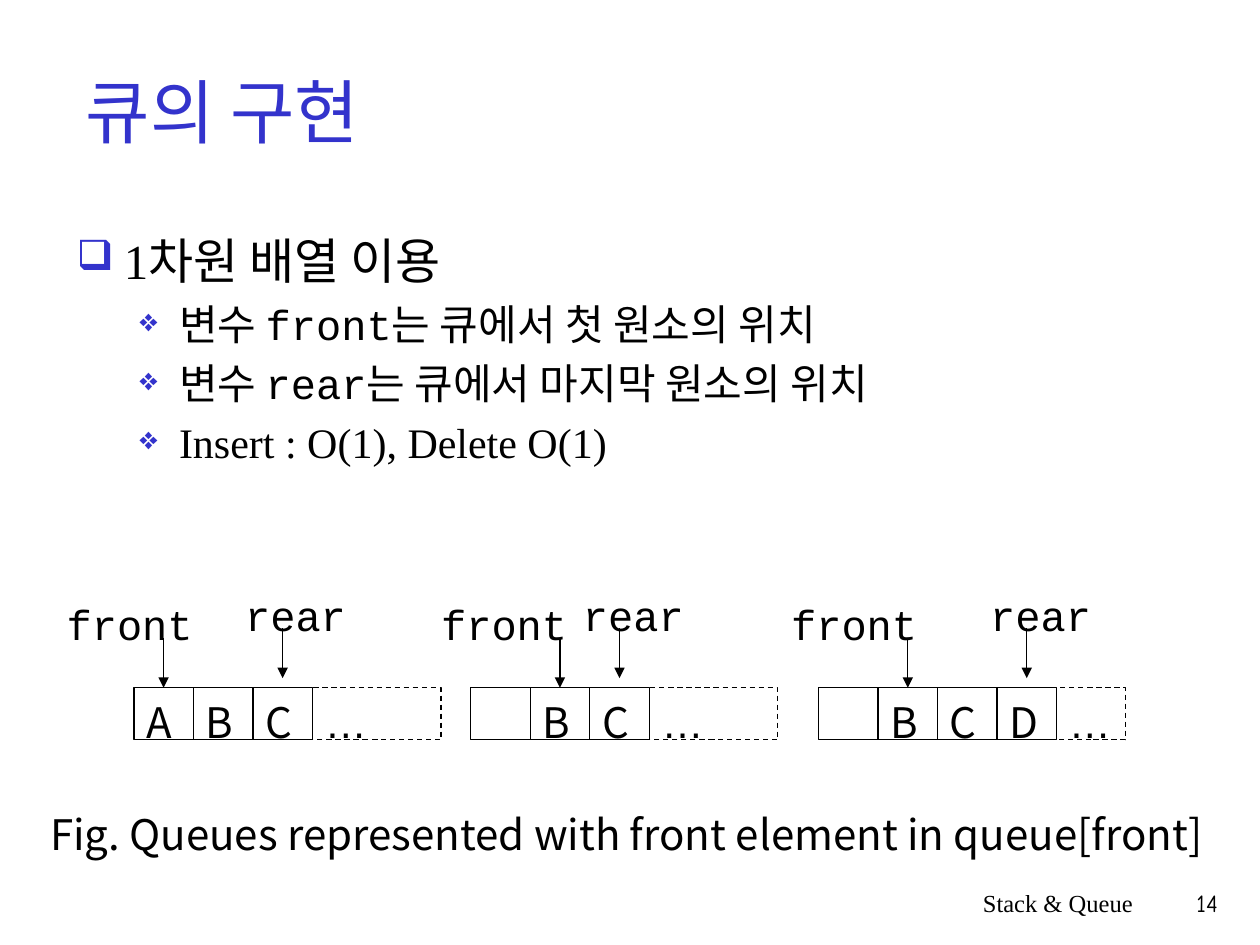
"""Build the slide on implementing a queue with a one-dimensional array."""
from pptx import Presentation
from pptx.dml.color import RGBColor
from pptx.enum.dml import MSO_LINE
from pptx.enum.shapes import MSO_CONNECTOR as CONNECTOR, MSO_SHAPE as SHAPE
from pptx.enum.text import MSO_ANCHOR as ANCHOR, PP_ALIGN as ALIGN
from pptx.oxml.ns import qn
from pptx.util import Pt
from lxml.etree import SubElement

SERIF, MONO, SANS = "Times New Roman", "Courier New", "Noto Sans CJK KR"
BLACK, BLUE = "000000", "3333CC"


def style_run(run, font, size, color=BLACK):
    run.font.name = font
    run.font.size = Pt(size)
    run.font.color.rgb = RGBColor.from_string(color)
    SubElement(run._r.get_or_add_rPr(), qn("a:ea"), typeface=SANS)


def add_text(left, top, width, height, text, font, size, color=BLACK, inset=3.6):
    shape = slide.shapes.add_textbox(Pt(left), Pt(top), Pt(width), Pt(height))
    frame = shape.text_frame
    frame.word_wrap = True
    frame.margin_top = Pt(inset)
    frame.text = text
    paragraph = frame.paragraphs[0]
    if size == 24:
        paragraph.line_spacing = Pt(29)
    for run in paragraph.runs:
        style_run(run, font, size, color)
    return shape


presentation = Presentation()
presentation.slide_width, presentation.slide_height = Pt(720), Pt(540)
slide = presentation.slides.add_slide(presentation.slide_layouts[6])

title = add_text(42, 18, 612, 90, "큐의 구현", SERIF, 40, BLUE)
title.text_frame.vertical_anchor = ANCHOR.MIDDLE

bullets = [
    (0, [("1차원 배열 이용", SERIF)]),
    (1, [("변수 ", MONO), ("front", MONO), ("는 큐에서 첫 원소의 위치", SERIF)]),
    (1, [("변수 ", MONO), ("rear", MONO), ("는 큐에서 마지막 원소의 위치", SERIF)]),
    (1, [("Insert : O(1), Delete O(1)", SERIF)]),
]
levels = [(28, 34, 27, 27, "❑", 85), (24, 29, 58.5, 22.5, "❖", 75)]
body = slide.shapes.add_textbox(Pt(36.75), Pt(128), Pt(648), Pt(356)).text_frame
body.word_wrap = True
for index, (level, parts) in enumerate(bullets):
    size, spacing, margin, hang, mark, scale = levels[level]
    paragraph = body.add_paragraph() if index else body.paragraphs[0]
    paragraph.level = level
    paragraph.line_spacing = Pt(spacing)
    paragraph.space_before = Pt(size * 0.2 if index else 0)
    properties = paragraph._p.get_or_add_pPr()
    properties.set("marL", str(Pt(margin)))
    properties.set("indent", str(-Pt(hang)))
    bullet_color = SubElement(properties, qn("a:buClr"))
    SubElement(bullet_color, qn("a:srgbClr"), val=BLUE)
    SubElement(properties, qn("a:buSzPct"), val=str(scale * 1000))
    SubElement(properties, qn("a:buChar"), char=mark)
    for text, font in parts:
        run = paragraph.add_run()
        run.text = text
        style_run(run, font, size)

CELL, CELL_TOP, CELL_HEIGHT = 34, 393, 29.75
queues = [
    (76.5, ["A", "B", "C"], 73.5, (0, 31, 108), (2, 133, 91.5)),
    (269, ["", "B", "C"], 73.5, (1, 245, 92), (2, 326, 82)),
    (467.75, ["", "B", "C", "D"], 39.5, (1, 445, 91), (3, 558.75, 78)),
]
for left, letters, rest_width, front, rear in queues:
    for index, letter in enumerate(letters + ["…"]):
        is_rest = letter == "…"
        cell = slide.shapes.add_shape(
            SHAPE.RECTANGLE, Pt(left + index * CELL), Pt(CELL_TOP),
            Pt(rest_width if is_rest else CELL), Pt(CELL_HEIGHT))
        cell.shadow.inherit = False
        cell.fill.background()
        cell.line.color.rgb = RGBColor.from_string(BLACK)
        cell.line.width = Pt(0.75)
        if is_rest:
            cell.line.dash_style = MSO_LINE.DASH
        if letter:
            frame = cell.text_frame
            frame.vertical_anchor = ANCHOR.TOP
            frame.margin_top = Pt(5)
            frame.text = letter
            paragraph = frame.paragraphs[0]
            paragraph.alignment = ALIGN.LEFT
            paragraph.line_spacing = Pt(29)
            style_run(paragraph.runs[0], "Arial" if is_rest else SANS, 24)

    pointers = [("front", front, 336, 364.5, 393), ("rear", rear, 330.5, 359, 387.5)]
    for name, (index, label_left, width), label_top, start, end in pointers:
        x = left + (index + 0.5) * CELL
        arrow = slide.shapes.add_connector(
            CONNECTOR.STRAIGHT, Pt(x), Pt(start), Pt(x), Pt(end))
        arrow.line.color.rgb = RGBColor.from_string(BLACK)
        arrow.line.width = Pt(0.75)
        SubElement(arrow.line._get_or_add_ln(), qn("a:tailEnd"), type="triangle")
        SubElement(arrow._element.spPr, qn("a:effectLst"))
        add_text(label_left, label_top, width, 36, name, MONO, 24, inset=6)

add_text(21.5, 456, 691, 36, "Fig. Queues represented with front element in queue[front]",
         SANS, 24, inset=6)
for left, width, text, font in [(426, 228.5, "Stack & Queue", SERIF),
                                (654, 49, "14", "Comic Neue")]:
    footer = add_text(left, 504, width, 36, text, font, 14)
    footer.text_frame.paragraphs[0].alignment = ALIGN.RIGHT

presentation.save("out.pptx")
